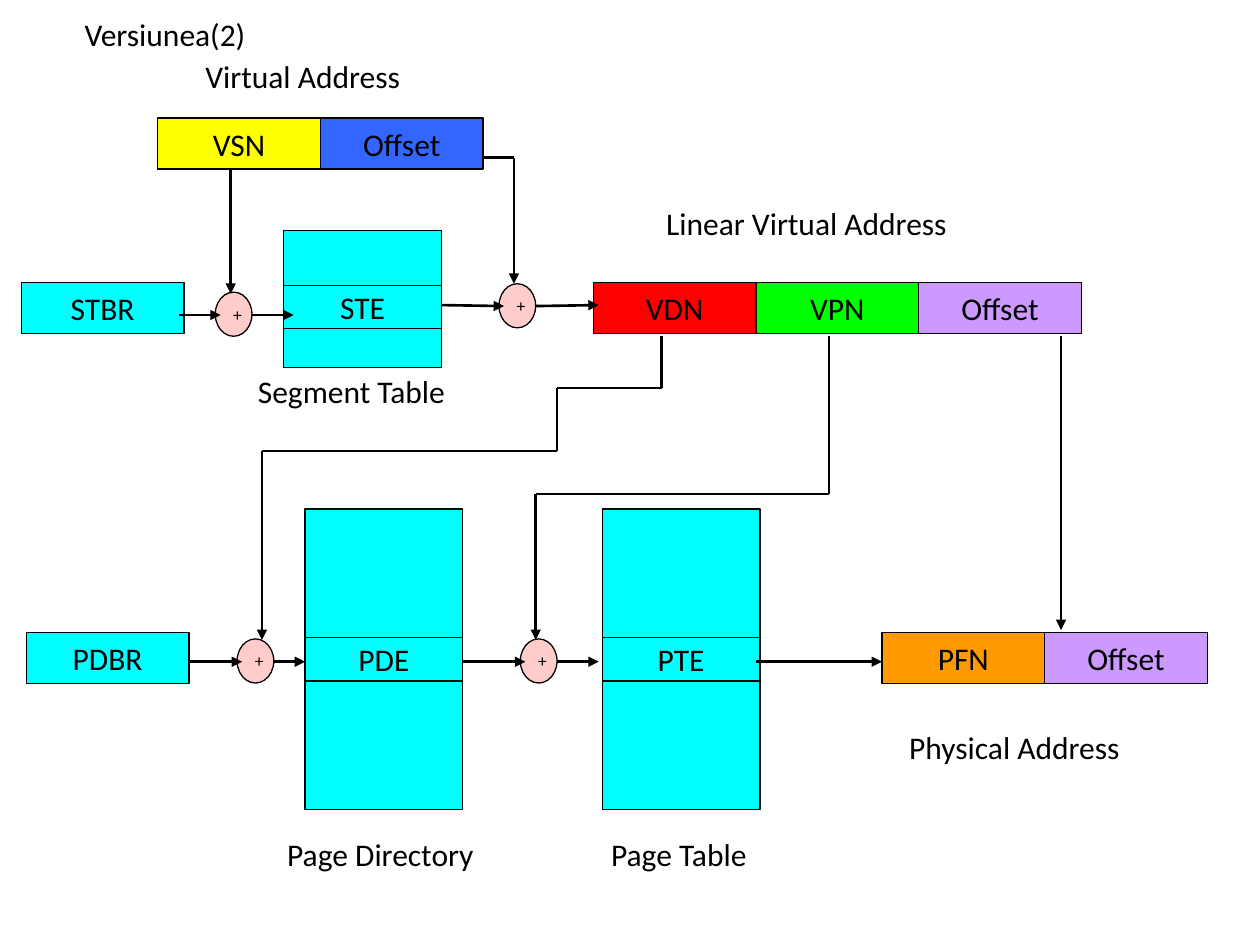
from itertools import pairwise

from lxml.etree import SubElement
from pptx import Presentation
from pptx.dml.color import RGBColor
from pptx.enum.shapes import MSO_CONNECTOR, MSO_SHAPE
from pptx.enum.text import MSO_ANCHOR, MSO_AUTO_SIZE, PP_ALIGN
from pptx.oxml.ns import qn
from pptx.util import Cm, Pt

BLACK = RGBColor(0x00, 0x00, 0x00)
YELLOW = RGBColor(0xFF, 0xFF, 0x00)
BLUE = RGBColor(0x33, 0x66, 0xFF)
CYAN = RGBColor(0x00, 0xFF, 0xFF)
RED = RGBColor(0xFF, 0x00, 0x00)
GREEN = RGBColor(0x00, 0xFF, 0x00)
VIOLET = RGBColor(0xCC, 0x99, 0xFF)
ORANGE = RGBColor(0xFF, 0x99, 0x00)
PINK = RGBColor(0xFF, 0xCC, 0xCC)

FIELD_WIDTH, FIELD_HEIGHT = 3.28, 1.03
TABLE_WIDTH = 3.18
ADDER_WIDTH, ADDER_HEIGHT = 0.74, 0.89
LABEL_HEIGHT = 1.09
PAGE_ROWS = (2.59, 0.88, 2.59)
PAGE_TOP = 10.26
PAGE_FLOW = 13.34  # height of the arrows through the page tables


def write(shape, text, size=18, align=PP_ALIGN.LEFT,
          anchor=MSO_ANCHOR.MIDDLE, wrap=True):
    frame = shape.text_frame
    frame.auto_size = MSO_AUTO_SIZE.NONE
    frame.word_wrap = wrap
    frame.vertical_anchor = anchor
    paragraph = frame.paragraphs[0]
    paragraph.alignment = align
    run = paragraph.add_run()
    run.text = text
    run.font.name = "Calibri"
    run.font.size = Pt(size)
    run.font.color.rgb = BLACK


def add_block(slide, kind, left, top, width, height, color):
    block = slide.shapes.add_shape(kind, Cm(left), Cm(top), Cm(width), Cm(height))
    block.shadow.inherit = False
    block.fill.solid()
    block.fill.fore_color.rgb = color
    block.line.color.rgb = BLACK
    block.line.width = Pt(0.75)
    return block


def add_register(slide, left, top, *fields):
    """Place (name, colour) fields side by side."""
    for index, (name, color) in enumerate(fields):
        field = add_block(slide, MSO_SHAPE.RECTANGLE, left + index * FIELD_WIDTH,
                          top, FIELD_WIDTH, FIELD_HEIGHT, color)
        write(field, name, align=PP_ALIGN.CENTER)


def add_lookup_table(slide, left, top, heights, entry):
    """Stack three blocks and name the middle one."""
    for index, height in enumerate(heights):
        block = add_block(slide, MSO_SHAPE.RECTANGLE, left, top,
                          TABLE_WIDTH, height, CYAN)
        if index == 1:
            write(block, entry, align=PP_ALIGN.CENTER)
        top += height


def add_adder(slide, left, top):
    adder = add_block(slide, MSO_SHAPE.OVAL, left, top,
                      ADDER_WIDTH, ADDER_HEIGHT, PINK)
    write(adder, "+", size=10)


def add_label(slide, text, left, top, width):
    label = slide.shapes.add_textbox(Cm(left), Cm(top), Cm(width), Cm(LABEL_HEIGHT))
    write(label, text, anchor=MSO_ANCHOR.TOP, wrap=False)


def add_route(slide, *points):
    """Join the points by straight lines, with an arrowhead at the last one."""
    for (x1, y1), (x2, y2) in pairwise(points):
        segment = slide.shapes.add_connector(
            MSO_CONNECTOR.STRAIGHT, Cm(x1), Cm(y1), Cm(x2), Cm(y2))
        segment.line.color.rgb = BLACK
        segment.line.width = Pt(1.5)
        properties = segment.element.spPr
        SubElement(properties, qn("a:effectLst"))
    SubElement(properties.find(qn("a:ln")), qn("a:tailEnd"), type="triangle")


def set_title(slide, text):
    title = slide.shapes.title
    title.left, title.top = Cm(1.45), Cm(0.18)
    title.width, title.height = Cm(3.84), Cm(1.02)
    write(title, text, anchor=MSO_ANCHOR.TOP, wrap=False)


def main():
    deck = Presentation()
    deck.slide_width, deck.slide_height = Cm(25.4), Cm(19.05)
    slide = deck.slides.add_slide(deck.slide_layouts[5])
    set_title(slide, "Versiunea(2)")

    add_register(slide, 3.18, 2.38, ("VSN", YELLOW), ("Offset", BLUE))
    add_register(slide, 0.43, 5.69, ("STBR", CYAN))
    add_register(slide, 11.96, 5.69,
                 ("VDN", RED), ("VPN", GREEN), ("Offset", VIOLET))
    add_register(slide, 0.53, 12.75, ("PDBR", CYAN))
    add_register(slide, 17.78, 12.75, ("PFN", ORANGE), ("Offset", VIOLET))

    add_lookup_table(slide, 5.72, 4.65, (1.11, 0.86, 0.79), "STE")
    add_lookup_table(slide, 6.15, PAGE_TOP, PAGE_ROWS, "PDE")
    add_lookup_table(slide, 12.14, PAGE_TOP, PAGE_ROWS, "PTE")

    for left, top in ((4.34, 5.89), (10.06, 5.72), (4.78, 12.88), (10.49, 12.88)):
        add_adder(slide, left, top)

    for text, left, top, width in (
        ("Virtual Address", 3.89, 1.02, 5),
        ("Linear Virtual Address", 13.18, 3.99, 7.01),
        ("Segment Table", 4.95, 7.37, 4.75),
        ("Physical Address", 18.08, 14.55, 5.38),
        ("Page Directory", 5.54, 16.71, 4.75),
        ("Page Table", 12.07, 16.71, 3.66),
    ):
        add_label(slide, text, left, top, width)

    # Segment stage
    add_route(slide, (4.65, 3.38), (4.65, 5.92))
    add_route(slide, (9.73, 3.18), (10.36, 3.18), (10.36, 5.72))
    add_route(slide, (3.61, 6.35), (4.45, 6.35))
    add_route(slide, (5.08, 6.35), (5.92, 6.35))
    add_route(slide, (8.89, 6.15), (10.16, 6.17))
    add_route(slide, (10.8, 6.17), (12.07, 6.15))

    # Linear address down to the page stage
    add_route(slide, (13.34, 6.78), (13.34, 7.82), (11.23, 7.82),
              (11.23, 9.09), (5.28, 9.09), (5.28, 12.9))
    add_route(slide, (16.71, 6.78), (16.71, 9.96), (10.8, 9.96), (10.8, 12.9))
    add_route(slide, (21.39, 6.78), (21.39, 12.7))

    # Page stage
    for start, end in ((3.81, 4.88), (5.51, 6.15), (9.32, 10.59),
                       (11.23, 12.07), (15.24, 17.78)):
        add_route(slide, (start, PAGE_FLOW), (end, PAGE_FLOW))

    deck.save("out.pptx")


if __name__ == "__main__":
    main()
